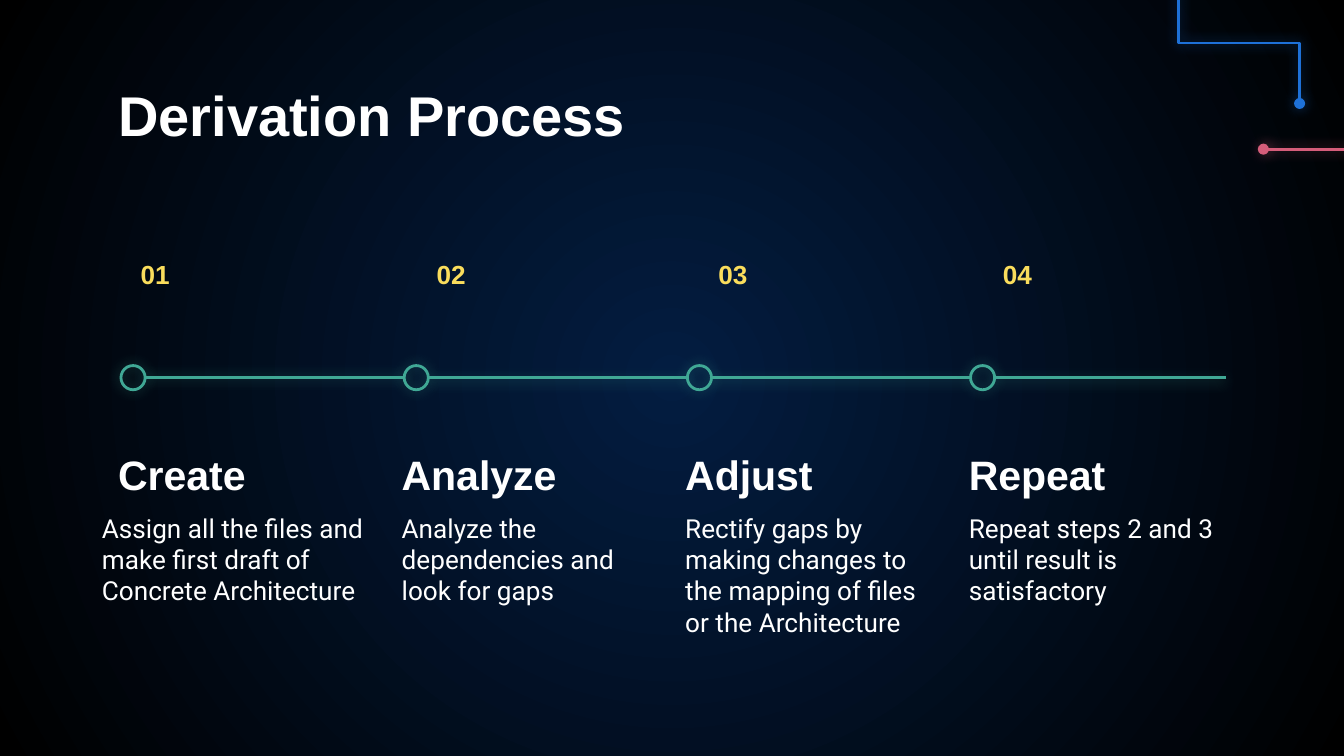
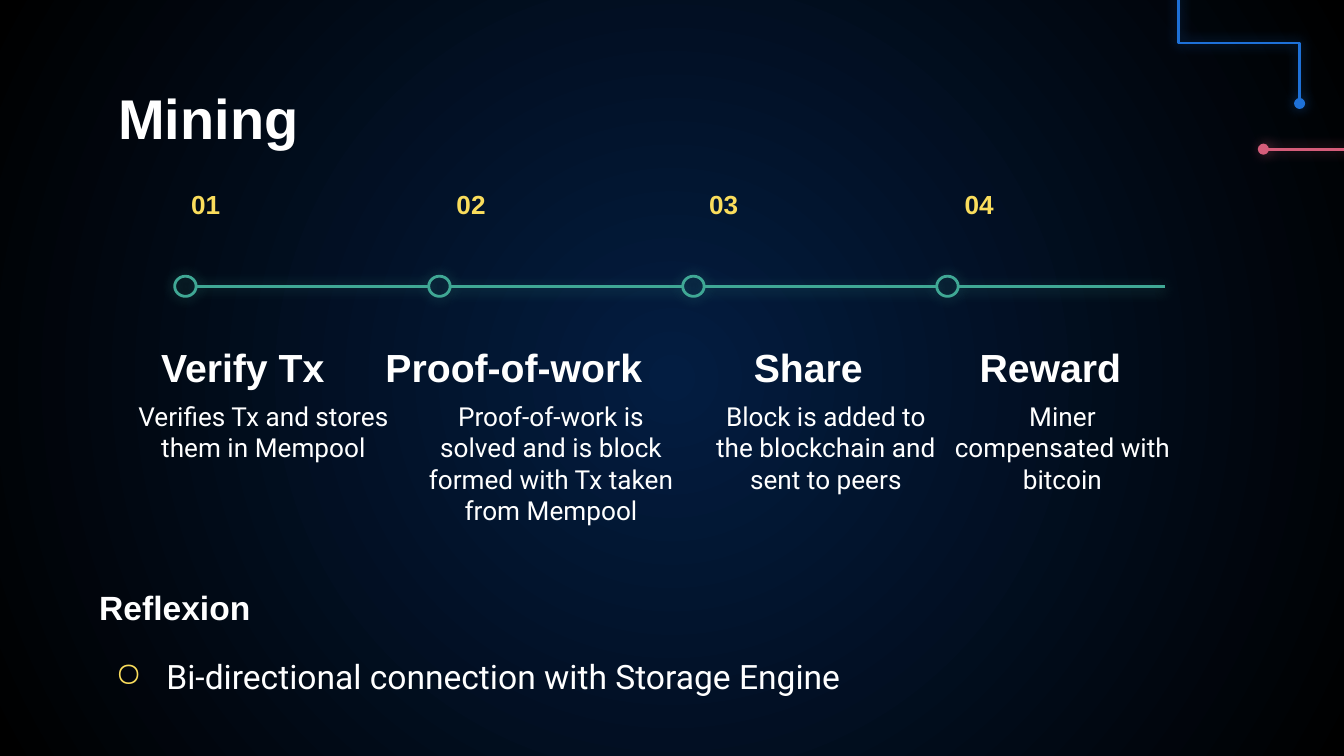
from lxml import etree
from pptx import Presentation
from pptx.dml.color import RGBColor
from pptx.enum.dml import MSO_LINE
from pptx.enum.shapes import MSO_CONNECTOR, MSO_SHAPE
from pptx.enum.text import MSO_ANCHOR, MSO_AUTO_SIZE, PP_ALIGN
from pptx.oxml import parse_xml
from pptx.oxml.ns import qn
from pptx.util import Inches, Pt

LEFT, MID = PP_ALIGN.LEFT, PP_ALIGN.CENTER
TOP, CORE = MSO_ANCHOR.TOP, MSO_ANCHOR.MIDDLE
FIXED, GROW = MSO_AUTO_SIZE.NONE, MSO_AUTO_SIZE.SHAPE_TO_FIT_TEXT
LINE, BENT = MSO_CONNECTOR.STRAIGHT, MSO_CONNECTOR.ELBOW
SOLID, OVAL = MSO_LINE.SOLID, MSO_SHAPE.OVAL
NS = 'xmlns:a="http://schemas.openxmlformats.org/drawingml/2006/main"'

# Theme: colours, type styles and line weight
WIDE, HIGH = 10, 5.625
THEME = {
    "glow": "031D41", "edge": "000000", "ink": "FFFFFF", "mark": "FADD5C",
    "line": "40A895", "blue": "1E71D8", "pink": "D55D7A",
    "weight": 1.5, "blur": 6.8, "pad": 0.1,
}
STYLES = {
    "title": {"name": "Arial", "size": Pt(30), "bold": True},
    "num": {"name": "Arial", "size": Pt(14), "bold": True},
    "head": {"name": "Arial", "size": Pt(22), "bold": True},
    "text": {"name": "Roboto", "size": Pt(14), "bold": False},
    "note": {"name": "Arial", "size": Pt(18), "bold": True},
    "item": {"name": "Roboto", "size": Pt(18), "bold": False},
}

# Content: each step has a name, its (left, width), a text, its (left, width)
# and the width of its number
DERIVE = {
    "title": "Derivation Process", "top": 0.59,
    "start": 0.9, "pitch": 2.107, "end": 9.12, "axis": 2.81,
    "dot": (0.18, 0.18), "num": (1.87, 0.32),
    "head": (3.35, 0.36), "text": (3.71, 0.69), "size": 22, "align": LEFT,
    "steps": [
        ("Create", (0.78, 2.11),
         "Assign all the files and make first draft of Concrete Architecture",
         (0.66, 2.23), 0.51),
        ("Analyze", (2.89, 2.11),
         "Analyze the dependencies and look for gaps", (2.89, 2.11), 0.7),
        ("Adjust", (5, 2.11),
         "Rectify gaps by making changes to the mapping of files "
         "or the Architecture", (5, 2.11), 0.68),
        ("Repeat", (7.11, 2.11),
         "Repeat steps 2 and 3 until result is satisfactory",
         (7.11, 2.11), 0.7),
    ],
}
MINING = {
    "title": "Mining", "top": 0.61,
    "start": 1.3, "pitch": 1.89, "end": 8.67, "axis": 2.13,
    "dot": (0.16, 0.15), "num": (1.35, 0.27),
    "head": (2.58, 0.3), "text": (2.88, 0.57), "size": 21, "align": MID,
    "steps": [
        ("Verify Tx", (1.1, 1.89),
         "Verifies Tx and stores them in Mempool", (0.92, 2.08), 0.46),
        ("Proof-of-work", (2.77, 2.74),
         "Proof-of-work is solved and is block formed with Tx taken "
         "from Mempool", (3.09, 2.02), 0.63),
        ("Share", (5.51, 1.89),
         "Block is added to the blockchain and sent to peers",
         (5.2, 1.89), 0.61),
        ("Reward", (7.19, 1.89),
         "Miner compensated with bitcoin", (6.96, 1.89), 0.63),
    ],
}
NOTE = ("Reflexion", "Bi-directional connection with Storage Engine")


def rgb(key):
    return RGBColor.from_string(THEME[key])


def apply(obj, vals):
    for key, val in vals.items():
        setattr(obj, key, val)


# Text
def frame(box, anchor, pad=THEME["pad"], fit=FIXED):
    tf = box.text_frame
    apply(tf, {"word_wrap": True, "auto_size": fit, "vertical_anchor": anchor})
    if pad is not None:
        sides = ("left", "right", "top", "bottom")
        apply(tf, {f"margin_{side}": Inches(pad) for side in sides})
    return tf


def write(para, text, style, color="ink", align=LEFT, **more):
    run = para.add_run()
    run.text = text
    apply(run.font, {**STYLES[style], **more})
    run.font.color.rgb = rgb(color)
    para.alignment = align


def label(slide, area, text, style, anchor=TOP, pad=THEME["pad"], **look):
    box = slide.shapes.add_textbox(*map(Inches, area))
    write(frame(box, anchor, pad).paragraphs[0], text, style, **look)


# Glowing lines and dots
def glow(shape, color, dist=0, turn=0):
    shape.line.color.rgb = rgb(color)
    apply(shape.line, {"width": Pt(THEME["weight"]), "dash_style": SOLID})
    props = shape._element.spPr
    for old in props.findall(qn("a:effectLst")):
        props.remove(old)
    props.append(parse_xml(
        f'<a:effectLst {NS}><a:outerShdw blurRad="{Pt(THEME["blur"])}" '
        f'dist="{Pt(dist)}" dir="{turn * 60000}" algn="bl" rotWithShape="0">'
        f'<a:srgbClr val="{THEME[color]}"><a:alpha val="50000"/></a:srgbClr>'
        '</a:outerShdw></a:effectLst>'))


def wire(slide, kind, ends, color, dist=0, turn=0, caps=False):
    link = slide.shapes.add_connector(kind, *map(Inches, ends))
    glow(link, color, dist, turn)
    if caps:
        for tag in ("a:headEnd", "a:tailEnd"):
            etree.SubElement(link.line._ln, qn(tag), type="oval")
    return link


# Shared slide: backdrop, corner circuit and title
def base(prs, data):
    slide = prs.slides.add_slide(prs.slide_layouts[5])
    fill = slide.background.fill
    fill.gradient()
    for stop, key, pos in zip(fill.gradient_stops, ("glow", "edge"), (0, 1)):
        stop.color.rgb = rgb(key)
        stop.position = pos
    grad = slide._element.cSld.find(".//" + qn("a:gradFill"))
    grad.replace(grad.find(qn("a:lin")), parse_xml(
        f'<a:path {NS} path="circle"><a:fillToRect l="50000" t="50000" '
        'r="50000" b="50000"/></a:path>'))

    bend = wire(slide, BENT, (8.77, -0.13, 9.67, 0.77), "blue", caps=True)
    xfrm = bend._element.spPr.find(qn("a:xfrm"))
    xfrm.set("rot", str(270 * 60000))
    xfrm.set("flipH", "1")
    wire(slide, LINE, (9.4, 1.11, 10.9, 1.11), "pink", 1.5, caps=True)

    title = slide.shapes.title
    area = map(Inches, (0.78, data["top"], WIDE - 2 * 0.78, 0.52))
    apply(title, dict(zip(("left", "top", "width", "height"), area)))
    write(frame(title, CORE).paragraphs[0], data["title"], "title")
    return slide


# Timeline: numbers, names, texts, dots and the links between dots
def track(slide, data):
    wide, high = data["dot"]
    axis, last = data["axis"], len(data["steps"]) - 1
    for i, (name, head, text, body, span) in enumerate(data["steps"]):
        left = data["start"] + i * data["pitch"]
        num_y, num_h = data["num"]
        label(slide, (left, num_y, span, num_h), f"{i + 1:02}", "num",
              pad=None, color="mark", align=MID)
        for (x, w), (y, h), words, style, anchor, look in (
                (head, data["head"], name, "head", CORE,
                 {"size": Pt(data["size"])}),
                (body, data["text"], text, "text", TOP,
                 {"align": data["align"]})):
            label(slide, (x, y, w, h), words, style, anchor, **look)
        dot = slide.shapes.add_shape(
            OVAL, *map(Inches, (left, axis - high / 2, wide, high)))
        dot.fill.background()
        glow(dot, "line")
        stop = data["end"] if i == last else left + data["pitch"]
        wire(slide, LINE, (left + wide, axis, stop, axis), "line",
             *((1.5, 90) if i else (0, 0)))


# Closing note with one bullet
def note(slide):
    box = slide.shapes.add_textbox(*map(Inches, (0.64, 4.12, 9.04, 1.13)))
    tf = frame(box, TOP, fit=GROW)
    head, item = tf.paragraphs[0], tf.add_paragraph()
    props = item._p.get_or_add_pPr()
    props.set("marL", str(Inches(0.5)))
    props.set("indent", str(Inches(-0.38)))
    tint = etree.SubElement(props, qn("a:buClr"))
    etree.SubElement(tint, qn("a:srgbClr"), val=THEME["mark"])
    etree.SubElement(props, qn("a:buChar"), char="○")
    apply(head, {"line_spacing": 1.5})
    apply(item, {"line_spacing": 1.15, "space_before": Pt(12)})
    write(head, NOTE[0], "note")
    write(item, NOTE[1], "item")


def main():
    prs = Presentation()
    apply(prs, {"slide_width": Inches(WIDE), "slide_height": Inches(HIGH)})
    for data in (DERIVE, MINING):
        slide = base(prs, data)
        track(slide, data)
    note(slide)
    prs.save("out.pptx")


if __name__ == "__main__":
    main()
